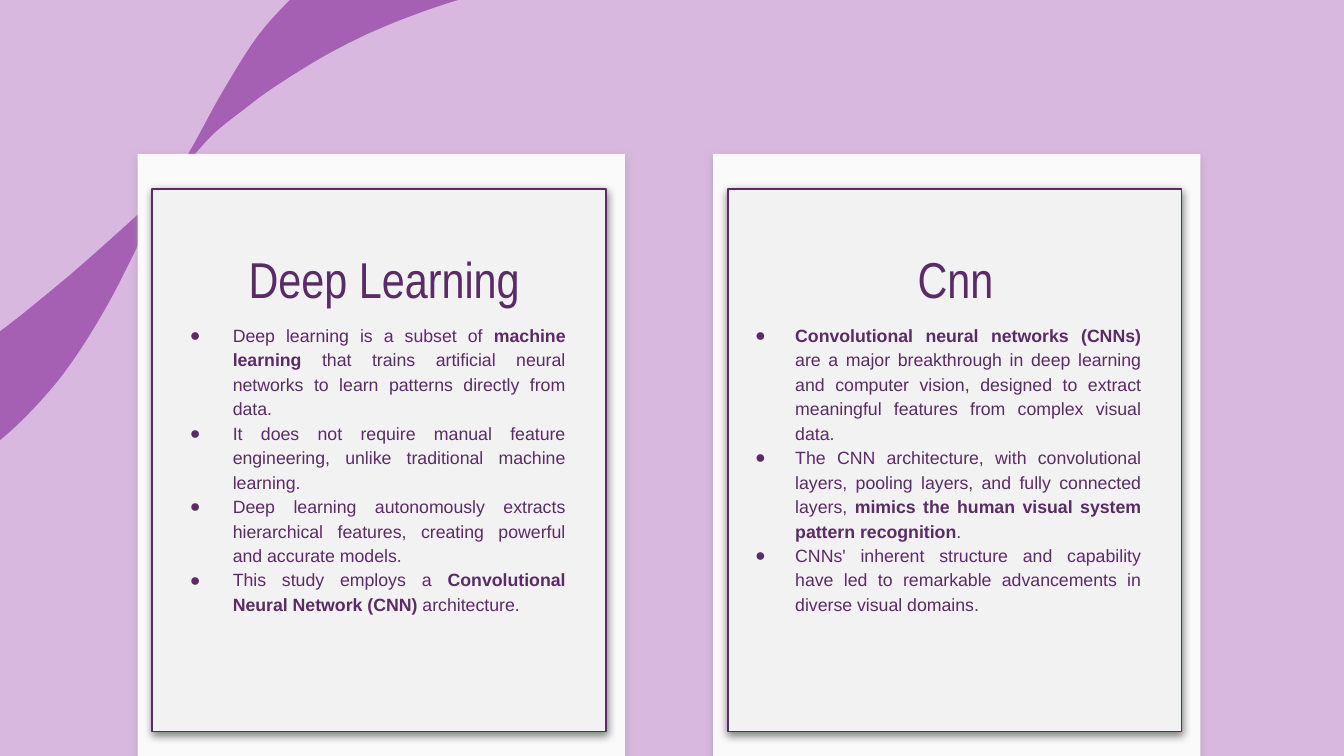
"""Build a slide with two text cards on deep learning and CNNs."""
import lxml.etree
import pptx
import pptx.dml.color
import pptx.enum.shapes
import pptx.enum.text
import pptx.oxml.ns
import pptx.util

Cm = pptx.util.Cm
Pt = pptx.util.Pt
qn = pptx.oxml.ns.qn


def colour(hex_value):
    return pptx.dml.color.RGBColor.from_string(hex_value)


def smooth(knots, steps=6):
    """Return points on a Catmull-Rom curve through the knots."""
    padded = [knots[0], *knots, knots[-1]]
    points = [knots[0]]
    for a, b, c, d in zip(padded, padded[1:], padded[2:], padded[3:]):
        for step in range(1, steps + 1):
            t = step / steps
            points.append(tuple(
                (2 * q + (r - p) * t + (2 * p - 5 * q + 4 * r - s) * t ** 2
                 + (3 * q - p - 3 * r + s) * t ** 3) / 2
                for p, q, r, s in zip(a, b, c, d)))
    return points


class CardSlide:
    """Hold the style and the current slide."""
    backdrop = "D9B8E0"
    ribbon_fill = "A560B3"
    card_fill = "FAFAFA"
    panel_fill = "F2F2F2"
    ink = "5A2B66"
    body_font, body_size = "Arial", 9.5
    title_font, title_size = "Arial Narrow", 27
    inset = 0.25

    def __init__(self, deck):
        self.slide = deck.slides.add_slide(deck.slide_layouts[6])
        fill = self.slide.background.fill
        fill.solid()
        fill.fore_color.rgb = colour(self.backdrop)

    def ribbon(self, *edges):
        outline = [point for edge in edges for point in smooth(edge)]
        builder = self.slide.shapes.build_freeform(
            Cm(outline[0][0]), Cm(outline[0][1]))
        builder.add_line_segments([(Cm(x), Cm(y)) for x, y in outline[1:]])
        band = builder.convert_to_shape()
        band.shadow.inherit = False
        band.fill.solid()
        band.fill.fore_color.rgb = colour(self.ribbon_fill)
        band.line.fill.background()

    def rectangle(self, left, top, width, height, fill, shade, border=None):
        box = self.slide.shapes.add_shape(
            pptx.enum.shapes.MSO_SHAPE.RECTANGLE,
            Cm(left), Cm(top), Cm(width), Cm(height))
        box.fill.solid()
        box.fill.fore_color.rgb = colour(fill)
        if border:
            box.line.color.rgb = colour(border)
            box.line.width = Pt(1)
        else:
            box.line.fill.background()
        self.cast_shadow(box, shade)
        return box

    def cast_shadow(self, box, shade):
        box.shadow.inherit = False
        effects = box._element.spPr.find(qn("a:effectLst"))
        outer = lxml.etree.SubElement(
            effects, qn("a:outerShdw"), blurRad=str(Pt(4.5)),
            dist=str(Pt(1.5)), dir="5400000", algn="bl", rotWithShape="0")
        tint = lxml.etree.SubElement(outer, qn("a:srgbClr"), val=shade)
        lxml.etree.SubElement(tint, qn("a:alpha"), val="50000")

    def card(self, left):
        self.rectangle(left, 2.91, 9.21, 11.79, self.card_fill, "999999")

    def panel(self, left, points, left_inset, indent):
        box = self.rectangle(left, 3.57, 8.57, 10.26, self.panel_fill,
                             "000000", self.ink)
        frame = self.frame(box, pptx.enum.text.MSO_ANCHOR.TOP)
        frame.margin_left, frame.margin_right = Cm(left_inset), Cm(0.76)
        frame.margin_top = Cm(2.51)
        for number, point in enumerate(points):
            paragraph = frame.add_paragraph() if number else frame.paragraphs[0]
            self.bullet(paragraph, indent)
            paragraph.alignment = pptx.enum.text.PP_ALIGN.JUSTIFY
            paragraph.line_spacing = 1.15
            for part, wording in enumerate(point.split("**")):
                if wording:
                    run = paragraph.add_run()
                    run.text = wording
                    self.style(run, self.body_font, self.body_size, part % 2 == 1)

    def bullet(self, paragraph, indent):
        properties = paragraph._p.get_or_add_pPr()
        properties.set("marL", str(Cm(indent)))
        properties.set("indent", str(Cm(-0.81)))
        tint = lxml.etree.SubElement(properties, qn("a:buClr"))
        lxml.etree.SubElement(tint, qn("a:srgbClr"), val=self.ink)
        lxml.etree.SubElement(properties, qn("a:buFont"), typeface=self.body_font)
        lxml.etree.SubElement(properties, qn("a:buChar"), char="●")

    def title(self, left, wording):
        box = self.slide.shapes.add_textbox(Cm(left), Cm(4.77), Cm(8), Cm(0.99))
        frame = self.frame(box, pptx.enum.text.MSO_ANCHOR.MIDDLE)
        frame.text = wording
        heading = frame.paragraphs[0]
        heading.alignment = pptx.enum.text.PP_ALIGN.CENTER
        self.style(heading.runs[0], self.title_font, self.title_size)

    def frame(self, box, anchor):
        frame = box.text_frame
        frame.word_wrap = True
        frame.vertical_anchor = anchor
        frame.margin_left = frame.margin_right = Cm(self.inset)
        frame.margin_top = frame.margin_bottom = Cm(self.inset)
        return frame

    def style(self, run, font, size, bold=False):
        run.font.name = font
        run.font.size = Pt(size)
        run.font.bold = bold
        run.font.color.rgb = colour(self.ink)


def main():
    deck = pptx.Presentation()
    deck.slide_width, deck.slide_height = Cm(25.4), Cm(14.29)
    page = CardSlide(deck)

    twist = (3.18, 3.51)
    page.ribbon(
        [(-3.78, 7.85), (-2.18, 7.54), (-0.41, 6.55), (1.07, 5.41),
         (2.46, 4.19), twist],
        [twist, (3.61, 3), (4.06, 2.51), (4.61, 2.07), (5.18, 1.65),
         (6.22, 1.01), (7.32, 0.48), (8.66, 0), (10.06, -0.35),
         (11.94, -0.6), (14.27, -0.61)],
        [(12.9, -2.62), (11.18, -2.59), (9.93, -2.39), (8.64, -2.01),
         (7.37, -1.4), (6.27, -0.71), (5.05, 0.46), (4.27, 1.63),
         (3.61, 2.82), twist],
        [twist, (2.67, 4.52), (2.03, 5.77), (1.37, 6.83), (0.76, 7.59),
         (0.05, 8.28), (-0.74, 8.84), (-1.52, 9.27), (-2.51, 9.68)])

    topics = [
        ("Deep Learning", 3.26, 0.25, 1.27, [
            "Deep learning is a subset of **machine learning** that trains "
            "artificial neural networks to learn patterns directly from data.",
            "It does not require manual feature engineering, unlike "
            "traditional machine learning.",
            "Deep learning autonomously extracts hierarchical features, "
            "creating powerful and accurate models.",
            "This study employs a **Convolutional Neural Network (CNN)** "
            "architecture.",
        ]),
        ("Cnn", 14.06, 0.51, 0.76, [
            "**Convolutional neural networks (CNNs) **are a major breakthrough "
            "in deep learning and computer vision, designed to extract "
            "meaningful features from complex visual data.",
            "The CNN architecture, with convolutional layers, pooling layers, "
            "and fully connected layers, **mimics the human visual system "
            "pattern recognition**.",
            "CNNs' inherent structure and capability have led to remarkable "
            "advancements in diverse visual domains.",
        ]),
    ]
    for column, (heading, heading_left, left_inset, indent, points) in enumerate(topics):
        card_left = 2.6 + column * 10.88
        page.card(card_left)
        page.panel(card_left + 0.28, points, left_inset, indent)
        page.title(heading_left, heading)

    deck.save("out.pptx")


if __name__ == "__main__":
    main()
